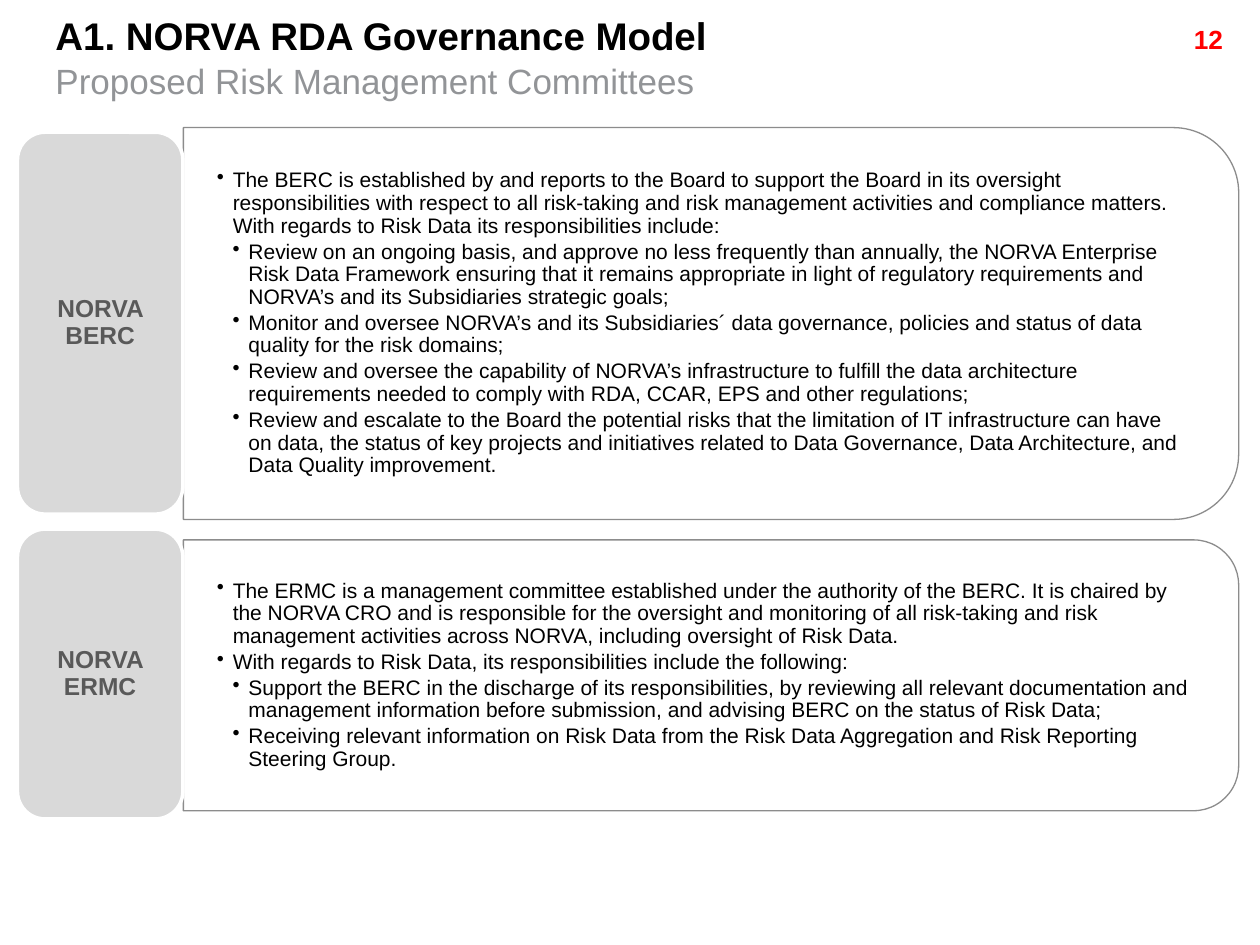
from lxml.etree import SubElement
from pptx import Presentation
from pptx.dml.color import RGBColor
from pptx.enum.shapes import MSO_SHAPE as Shape
from pptx.enum.text import MSO_ANCHOR as Anchor, PP_ALIGN as Align
from pptx.oxml.ns import qn
from pptx.util import Pt


def color(value):
    return RGBColor.from_string(value)


def style(font, size, value, bold=False):
    font.name, font.size, font.bold = "Arial", Pt(size), bold
    font.color.rgb = color(value)


deck = Presentation()
deck.slide_width, deck.slide_height = Pt(720), Pt(540)
page = deck.slides.add_slide(deck.slide_layouts[5])

number_box = page.shapes.add_textbox(Pt(638), Pt(10), Pt(68), Pt(36))
para = number_box.text_frame.paragraphs[0]
para.text, para.alignment = "12", Align.RIGHT
style(para.font, 15, "FF0000", True)

committees = [
    {
        "label": "NORVA BERC", "label_top": 75.6, "label_height": 218.2,
        "top": 72.9, "height": 223.9, "text_width": 592,
        "lines": [
            (0, "The BERC is established by and reports to the Board to support the Board in its oversight responsibilities with respect to all risk-taking and risk management activities and compliance matters. With regards to Risk Data its responsibilities include:"),
            (1, "Review on an ongoing basis, and approve no less frequently than annually, the NORVA Enterprise Risk Data Framework ensuring that it remains appropriate in light of regulatory requirements and NORVA’s and its Subsidiaries strategic goals;"),
            (1, "Monitor and oversee NORVA’s and its Subsidiaries´ data governance, policies and status of data quality for the risk domains;"),
            (1, "Review and oversee the capability of NORVA’s infrastructure to fulfill the data architecture requirements needed to comply with RDA, CCAR, EPS and other regulations;"),
            (1, "Review and escalate to the Board the potential risks that the limitation of IT infrastructure can have on data, the status of key projects and initiatives related to Data Governance, Data Architecture, and Data Quality improvement."),
        ],
    },
    {
        "label": "NORVA ERMC", "label_top": 302.4, "label_height": 165.6,
        "top": 308.5, "height": 154.8, "text_width": 595.5,
        "lines": [
            (0, "The ERMC is a management committee established under the authority of the BERC. It is chaired by the NORVA CRO and is responsible for the oversight and monitoring of all risk-taking and risk management activities across NORVA, including oversight of Risk Data."),
            (0, "With regards to Risk Data, its responsibilities include the following:"),
            (1, "Support the BERC in the discharge of its responsibilities, by reviewing all relevant documentation and management information before submission, and advising BERC on the status of Risk Data;"),
            (1, "Receiving relevant information on Risk Data from the Risk Data Aggregation and Risk Reporting Steering Group."),
        ],
    },
]

panel_left, panel_width = 104.8, 603
for committee in committees:
    top, height = committee["top"], committee["height"]
    offset = (panel_width - height) / 2
    panel = page.shapes.add_shape(Shape.ROUND_2_SAME_RECTANGLE, Pt(panel_left + offset),
                                  Pt(top - offset), Pt(height), Pt(panel_width))
    panel.rotation = 90
    panel.shadow.inherit = False
    panel.fill.solid()
    panel.fill.fore_color.rgb = color("FFFFFF")
    panel.line.color.rgb = color("808080")
    panel.line.width = Pt(0.75)
    for tint in panel.element.spPr.iter(qn("a:srgbClr")):
        SubElement(tint, qn("a:alpha"), val="90000")

    text_box = page.shapes.add_textbox(Pt(104.5), Pt(top), Pt(committee["text_width"]), Pt(height))
    frame = text_box.text_frame
    frame.word_wrap, frame.vertical_anchor = True, Anchor.MIDDLE
    frame.margin_left = frame.margin_right = Pt(19.5)
    frame.margin_top = frame.margin_bottom = Pt(10)
    for index, (level, text) in enumerate(committee["lines"]):
        para = frame.add_paragraph() if index else frame.paragraphs[0]
        para.text, para.level = text, level
        para.line_spacing, para.space_after = 0.9, Pt(1.8)
        style(para.font, 12, "000000")
        properties = para._p.get_or_add_pPr()
        properties.set("marL", str(Pt(9 * (level + 1))))
        properties.set("indent", str(Pt(-9)))
        bullet = properties.makeelement(qn("a:buChar"), {"char": "•"})
        properties.insert_element_before(bullet, "a:tabLst", "a:defRPr", "a:extLst")

    label = page.shapes.add_shape(Shape.ROUNDED_RECTANGLE, Pt(10), Pt(committee["label_top"]),
                                  Pt(94.5), Pt(committee["label_height"]))
    label.shadow.inherit = False
    label.fill.solid()
    label.fill.fore_color.rgb = color("D9D9D9")
    label.line.color.rgb = color("FFFFFF")
    label.line.width = Pt(2)
    frame = label.text_frame
    frame.word_wrap, frame.vertical_anchor = True, Anchor.MIDDLE
    frame.margin_left = frame.margin_right = Pt(4)
    para = frame.paragraphs[0]
    para.text, para.alignment, para.line_spacing = committee["label"], Align.CENTER, 0.9
    style(para.font, 14, "595959", True)

title = page.shapes.title
title.left, title.top, title.width, title.height = Pt(24.5), Pt(6.5), Pt(683), Pt(55.5)
frame = title.text_frame
frame.word_wrap, frame.vertical_anchor = True, Anchor.TOP
frame.text = "A1. NORVA RDA Governance Model\nProposed Risk Management Committees"
for para, size, value, bold, spacing in zip(frame.paragraphs, (22, 20), ("000000", "929497"),
                                            (True, False), (0.9, 1)):
    para.alignment, para.line_spacing, para.space_before = Align.LEFT, spacing, Pt(0)
    style(para.font, size, value, bold)

deck.save("out.pptx")
